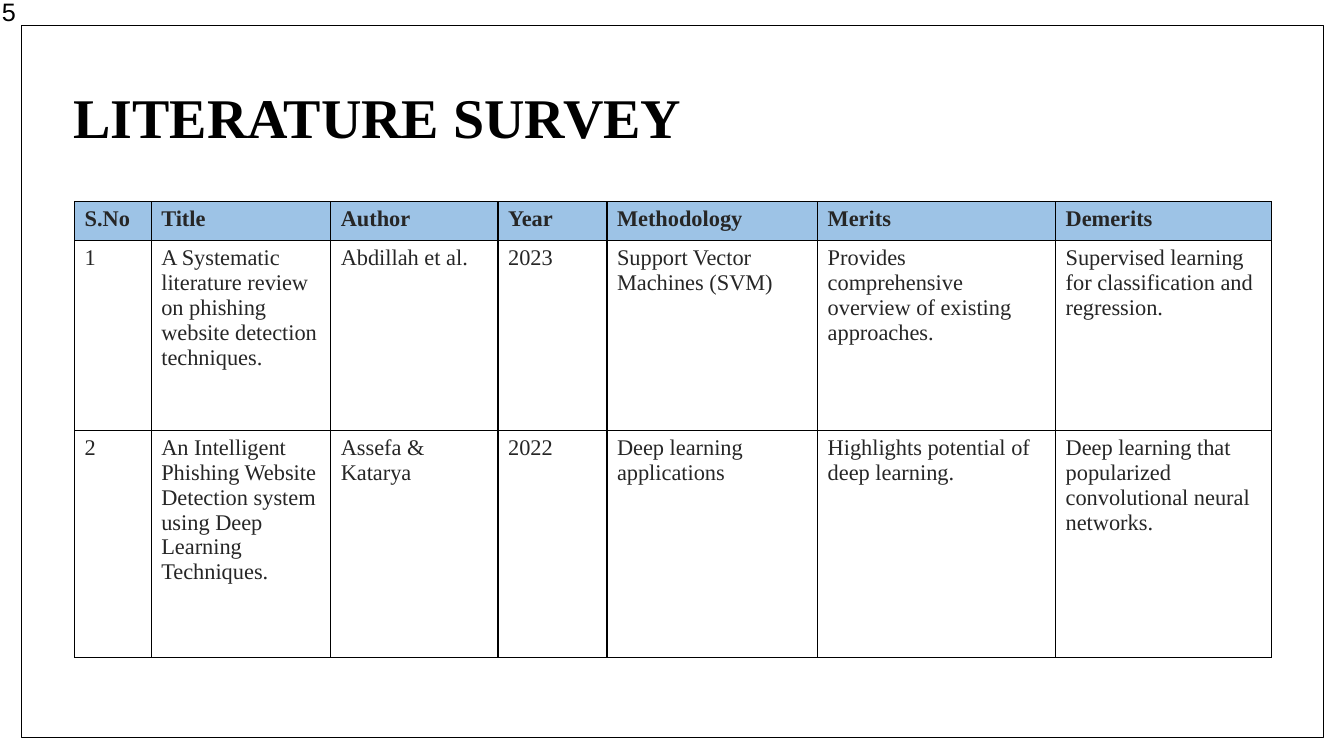
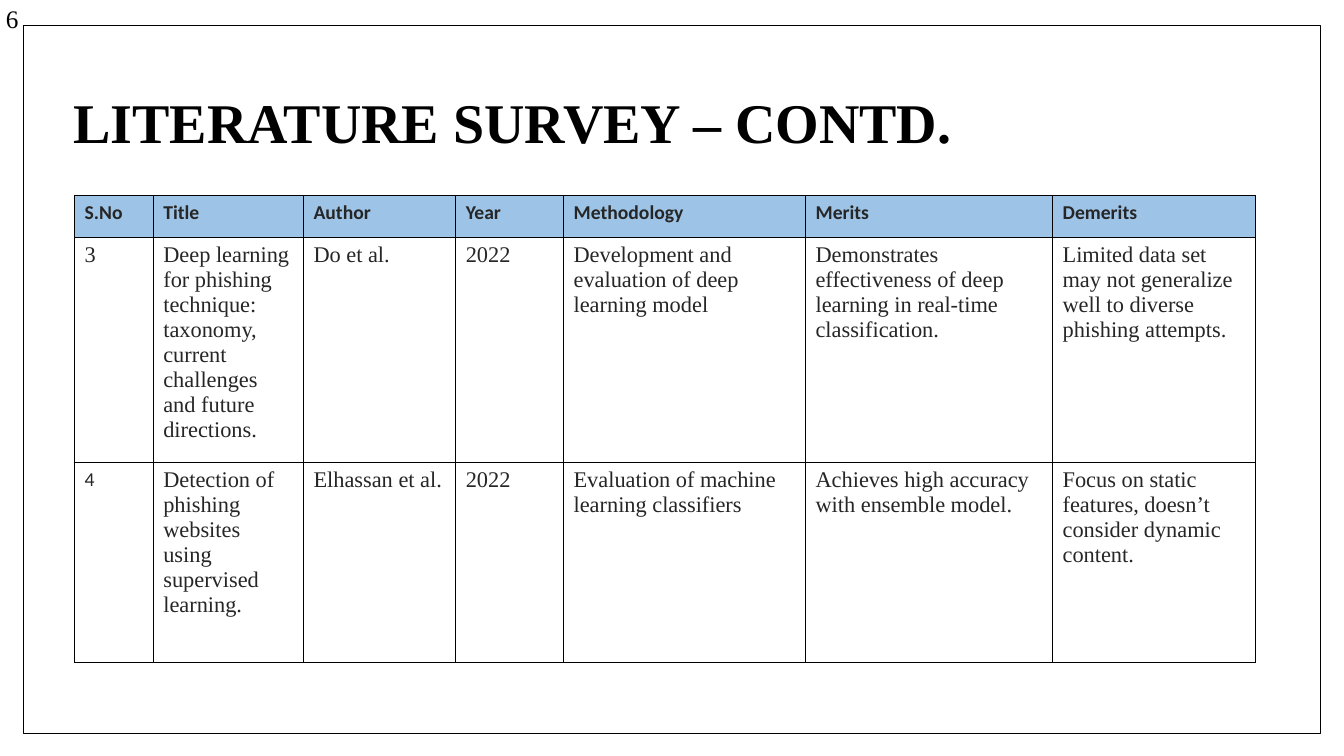
from lxml import etree
from pptx import Presentation
from pptx.dml.color import RGBColor
from pptx.enum.shapes import MSO_SHAPE as SHAPE
from pptx.enum.text import MSO_ANCHOR as ANCHOR, MSO_AUTO_SIZE as AUTO, PP_ALIGN as ALIGN
from pptx.oxml.ns import qn
from pptx.util import Emu, Pt

# Shared look: 100 px to the inch
PX = 9144
BLACK, INK, WHITE, HEADER = "000000", "262626", "FFFFFF", "9DC3E6"
SERIF, SANS, ARIAL = "Times New Roman", "Calibri", "Arial"
BODY_STYLE = (SERIF, 16)
SMALL_STYLE = (SANS, 14)
COLUMNS = ["S.No", "Title", "Author", "Year", "Methodology", "Merits", "Demerits"]

SLIDES = [
    {
        "title": "LITERATURE SURVEY",
        "title_box": (63, 79, 1142, 80),
        "table_at": (74, 200),
        "widths": [76, 178, 166, 108, 209, 236, 214],
        "heights": [39, 188, 225],
        "header_style": BODY_STYLE,
        "rows": [
            ["1",
             "A Systematic literature review on phishing website detection techniques.",
             "Abdillah et al.", "2023", "Support Vector Machines (SVM)",
             "Provides comprehensive overview of existing approaches.",
             "Supervised learning for classification and regression."],
            ["2",
             "An Intelligent Phishing Website Detection system using Deep Learning Techniques.",
             "Assefa & Katarya", "2022", "Deep learning applications",
             "Highlights potential of deep learning.",
             "Deep learning that popularized convolutional neural networks."],
        ],
        "cell_styles": {},
        "frame_box": (21, 25, 1292, 707),
        "number": "5",
        "number_box": (-8, -9, 100, 40),
        "number_font": ARIAL,
    },
    {
        "title": "LITERATURE SURVEY – CONTD.",
        "title_box": (63, 52, 1150, 145),
        "table_at": (74, 194),
        "widths": [78, 149, 151, 107, 240, 245, 201],
        "heights": [42, 223, 198],
        "header_style": SMALL_STYLE,
        "rows": [
            ["3",
             "Deep learning for phishing technique: taxonomy, current challenges "
             "and future directions.",
             "Do et al.", "2022", "Development and evaluation of deep learning model",
             "Demonstrates effectiveness of deep learning in real-time classification.",
             "Limited data set may not generalize well to diverse phishing attempts."],
            ["4",
             "Detection of phishing websites using supervised learning.",
             "Elhassan et al.", "2022", "Evaluation of machine learning classifiers",
             "Achieves high accuracy with ensemble model.",
             "Focus on static features, doesn’t consider dynamic content."],
        ],
        "cell_styles": {(2, 0): SMALL_STYLE},
        "frame_box": (23, 25, 1287, 703),
        "number": "6",
        "number_box": (-4, -2, 100, 40),
        "number_font": SERIF,
    },
]


def px(n):
    return Emu(n * PX)


def rgb(color):
    return RGBColor.from_string(color)


def place(sp, box):
    sp.left, sp.top, sp.width, sp.height = map(px, box)


def add_run(p, text, font, size, color=BLACK, bold=False):
    r = p.add_run()
    r.text = text
    r.font.name, r.font.size, r.font.bold = font, Pt(size), bold
    r.font.color.rgb = rgb(color)


def add_title(slide, box, text):
    sp = slide.shapes.title
    place(sp, box)
    tf = sp.text_frame
    tf.word_wrap, tf.auto_size = True, AUTO.NONE
    tf.vertical_anchor = ANCHOR.MIDDLE
    p = tf.paragraphs[0]
    p.alignment, p.line_spacing = ALIGN.LEFT, 0.9
    add_run(p, text, SERIF, 40, bold=True)


def set_borders(cell, color=BLACK, width=0.96):
    tc_pr = cell._tc.get_or_add_tcPr()
    for i, side in enumerate(("lnL", "lnR", "lnT", "lnB")):
        ln = etree.Element(qn(f"a:{side}"), w=str(Pt(width)))
        fill = etree.SubElement(ln, qn("a:solidFill"))
        etree.SubElement(fill, qn("a:srgbClr"), val=color)
        tc_pr.insert(i, ln)


def add_survey_table(slide, at, widths, heights, rows, header_style, cell_styles):
    grid = [COLUMNS] + rows
    box = (*at, sum(widths), sum(heights))
    table = slide.shapes.add_table(len(grid), len(COLUMNS), *map(px, box)).table
    for column, width in zip(table.columns, widths):
        column.width = px(width)
    for row, height in zip(table.rows, heights):
        row.height = px(height)
    for i, texts in enumerate(grid):
        header = i == 0
        for j, text in enumerate(texts):
            cell = table.cell(i, j)
            cell.fill.solid()
            cell.fill.fore_color.rgb = rgb(HEADER if header else WHITE)
            set_borders(cell)
            font, size = header_style if header else cell_styles.get((i, j), BODY_STYLE)
            add_run(cell.text_frame.paragraphs[0], text, font, size, INK, header)


def add_frame(slide, box):
    sp = slide.shapes.add_shape(SHAPE.RECTANGLE, *map(px, box))
    sp.shadow.inherit = False
    sp.fill.background()
    sp.line.color.rgb, sp.line.width = rgb(BLACK), Pt(0.75)


def add_number(slide, box, text, font):
    tf = slide.shapes.add_textbox(*map(px, box)).text_frame
    tf.word_wrap, tf.auto_size = True, AUTO.SHAPE_TO_FIT_TEXT
    add_run(tf.paragraphs[0], text, font, 18)


def add_survey_slide(prs, data):
    slide = prs.slides.add_slide(prs.slide_layouts[5])
    # Title
    add_title(slide, data["title_box"], data["title"])
    # Table of papers
    add_survey_table(slide, data["table_at"], data["widths"], data["heights"],
                     data["rows"], data["header_style"], data["cell_styles"])
    # Page frame and number
    add_frame(slide, data["frame_box"])
    add_number(slide, data["number_box"], data["number"], data["number_font"])


def main():
    prs = Presentation()
    prs.slide_width, prs.slide_height = px(1333), px(750)
    for data in SLIDES:
        add_survey_slide(prs, data)
    prs.save("out.pptx")


if __name__ == "__main__":
    main()
